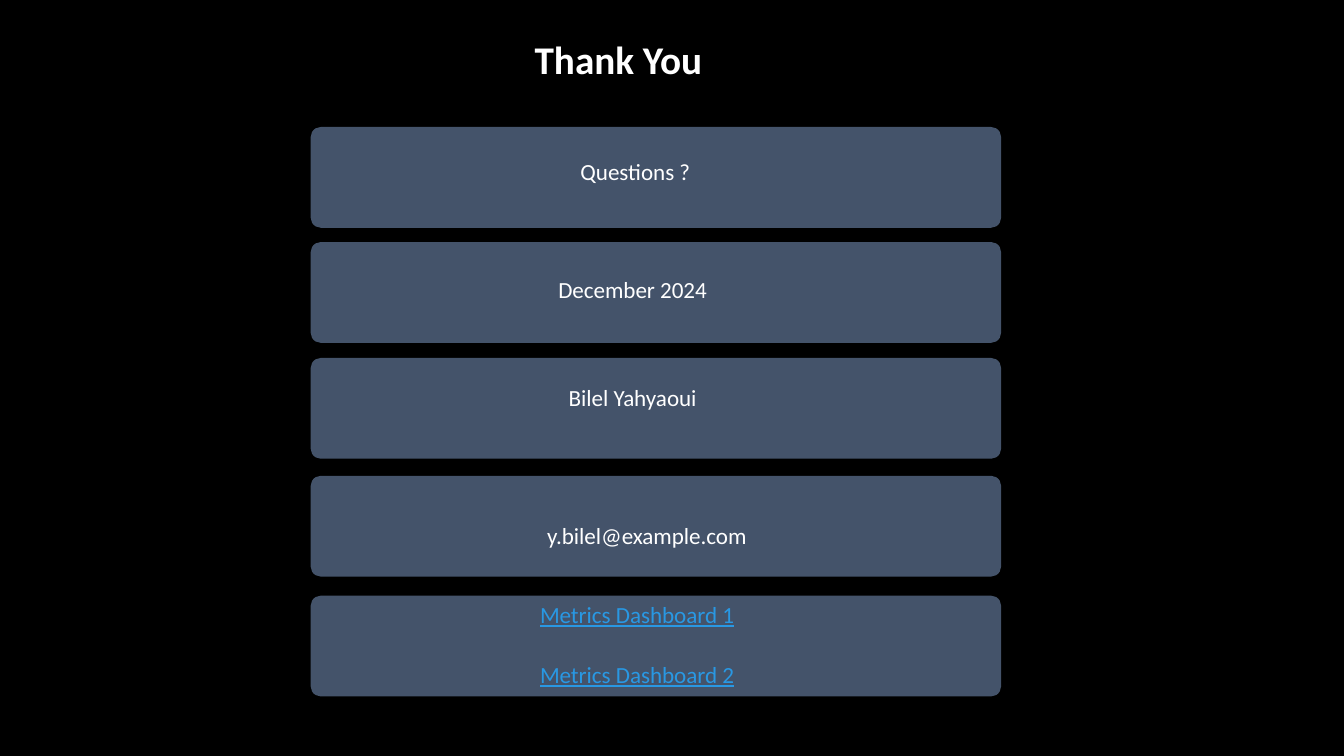
from pptx import Presentation
from pptx.dml.color import RGBColor
from pptx.enum.shapes import MSO_SHAPE as SHAPE
from pptx.enum.text import MSO_AUTO_SIZE as AUTO, PP_ALIGN as ALIGN
from pptx.util import Cm, Pt

BLACK = RGBColor(0x00, 0x00, 0x00)
WHITE = RGBColor(0xFF, 0xFF, 0xFF)
SLATE = RGBColor(0x44, 0x53, 0x6A)
SKY = RGBColor(0x29, 0x98, 0xE3)

WIDTH, HEIGHT = 33.87, 19.05
CARD_LEFT, CARD_WIDTH, CARD_HEIGHT = 7.83, 17.4, 2.54
LABEL_WIDTH, LABEL_HEIGHT = 11.96, 1.47


class Deck:
    font = "Calibri"
    label_size = 28.5
    label_leading = 20.4

    def __init__(self):
        self.prs = Presentation()
        self.prs.slide_width = Cm(WIDTH)
        self.prs.slide_height = Cm(HEIGHT)
        self.s = self.prs.slides.add_slide(self.prs.slide_layouts[6])

    def block(self, kind, left, top, width, height, color):
        sp = self.s.shapes.add_shape(kind, Cm(left), Cm(top), Cm(width), Cm(height))
        sp.shadow.inherit = False
        sp.fill.solid()
        sp.fill.fore_color.rgb = color
        sp.line.fill.background()
        return sp

    def card(self, top):
        sp = self.block(SHAPE.ROUNDED_RECTANGLE, CARD_LEFT, top, CARD_WIDTH, CARD_HEIGHT, SLATE)
        sp.adjustments[0] = 0.1

    def text(self, lines, left, top, width, height, size, leading=None, gap=0, color=WHITE):
        sp = self.s.shapes.add_textbox(Cm(left), Cm(top), Cm(width), Cm(height))
        tf = sp.text_frame
        tf.word_wrap = True
        tf.text = "\n".join(lines)
        if leading:
            tf.margin_left = tf.margin_right = tf.margin_top = tf.margin_bottom = 0
        for i, p in enumerate(tf.paragraphs):
            if leading:
                p.line_spacing = Pt(leading)
            if i:
                p.space_before = Pt(gap)
            for r in p.runs:
                r.font.name = self.font
                r.font.size = Pt(size)
                r.font.color.rgb = color
        return tf

    def title(self, text, left, top, width, height):
        tf = self.text([text], left, top, width, height, 28, 42)
        p = tf.paragraphs[0]
        p.alignment = ALIGN.CENTER
        p.runs[0].font.bold = True

    def label(self, lines, left, top, width=LABEL_WIDTH, height=LABEL_HEIGHT,
              leading=label_leading, color=WHITE, underline=False):
        tf = self.text(lines, left, top, width, height, self.label_size, leading, 22.4, color)
        for p in tf.paragraphs:
            for r in p.runs:
                r.font.underline = underline
                r._r.get_or_add_rPr().set("baseline", "3000")
        return tf


def main():
    deck = Deck()
    deck.block(SHAPE.RECTANGLE, 0, 0, WIDTH, HEIGHT, BLACK)
    deck.title("Thank You", 6.9, 0.6, 17.37, 2.01)
    for top in (3.2, 6.1, 9.02, 11.99, 15.01):
        deck.card(top)

    for text, left, top in (
        ("Questions ?", 14.63, 4.06),
        ("December 2024", 14.07, 7.03),
        ("Bilel Yahyaoui", 14.33, 9.75),
    ):
        deck.label([text], left, top)
    email = deck.label(["y.bilel@example.com"], 13.54, 12.62, 8.05, 1.07, leading=None)
    email.auto_size = AUTO.SHAPE_TO_FIT_TEXT
    deck.label(["Metrics Dashboard 1", "Metrics Dashboard 2"], 13.61, 15.23,
               color=SKY, underline=True)
    deck.prs.save("out.pptx")


if __name__ == "__main__":
    main()
